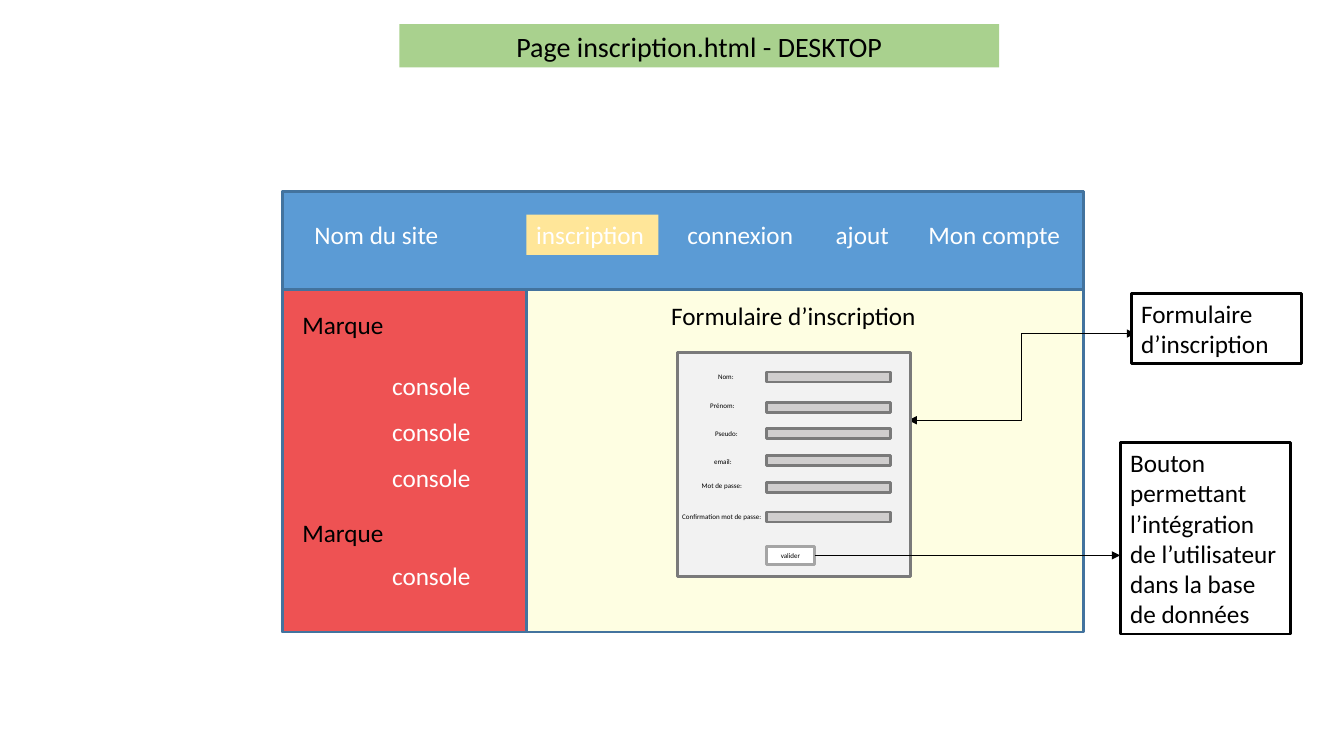
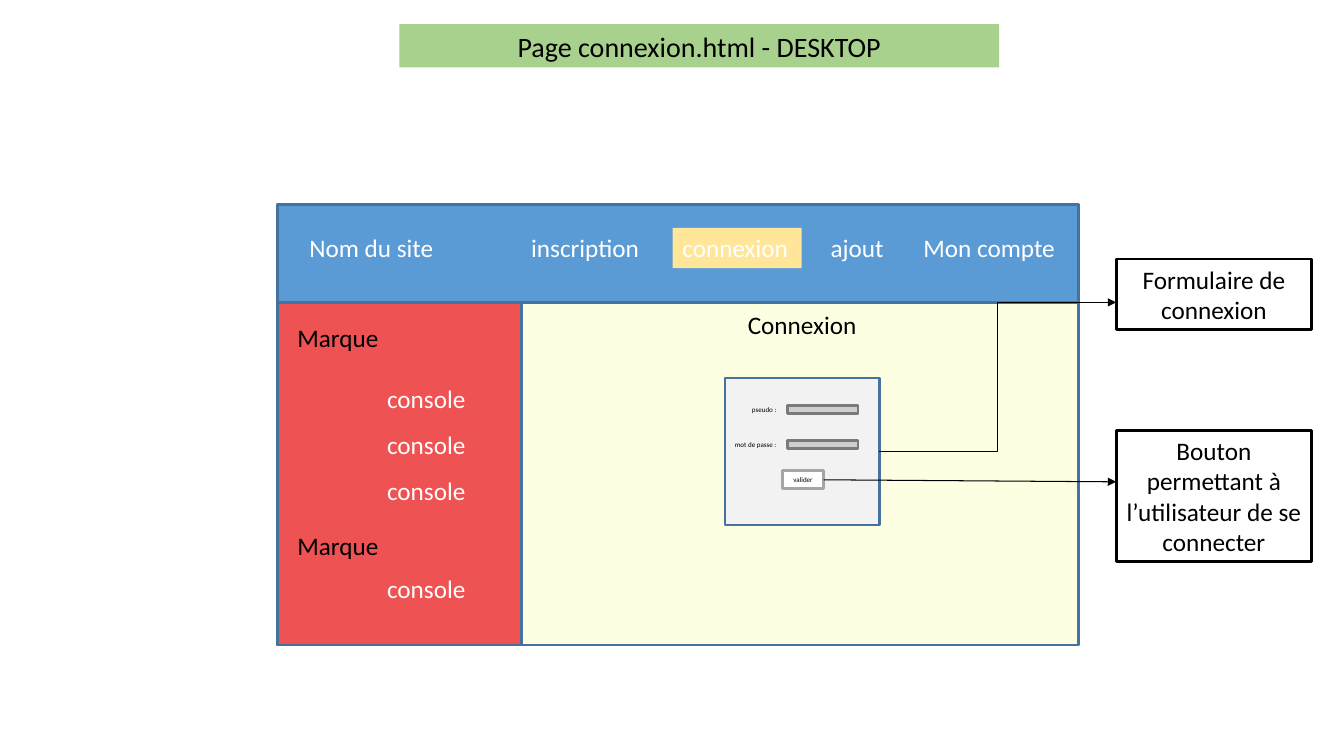
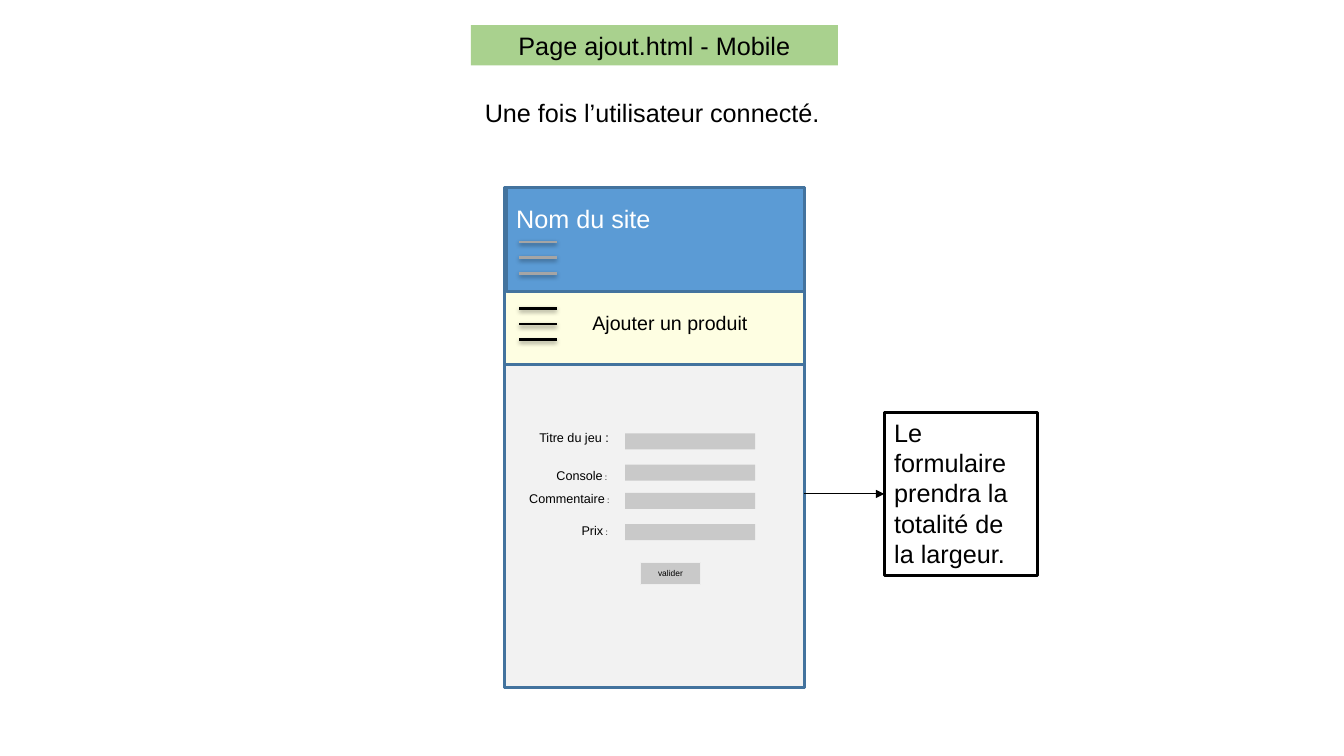
from dataclasses import dataclass

from lxml import etree
from pptx import Presentation
from pptx.dml.color import RGBColor
from pptx.enum.shapes import MSO_CONNECTOR as CONN, MSO_SHAPE as SHAPE
from pptx.enum.text import MSO_ANCHOR as ANCHOR, PP_ALIGN as ALIGN
from pptx.oxml.ns import qn
from pptx.util import Inches, Pt


@dataclass(frozen=True)
class Theme:
    """Colours, fonts and sizes shared by the slides."""
    black: str = "000000"
    white: str = "FFFFFF"
    title: str = "A9D18E"
    page: str = "FEFEE2"
    header: str = "5B9BD5"
    sidebar: str = "EE5253"
    border: str = "43739E"
    active: str = "FFE699"
    panel: str = "F2F2F2"
    field: str = "D0CECE"
    field_line: str = "7A7A7A"
    grey: str = "A5A5A5"
    mobile_field: str = "C9C9C9"
    mobile_edge: str = "EEEEEE"
    desktop_font: str = "Calibri"
    mobile_font: str = "Arial"
    title_size: int = 20
    body: int = 18
    subtitle: int = 14
    label: int = 9
    tiny: int = 6
    micro: int = 5
    thick: float = 2
    thin: float = 0.75


T = Theme()


@dataclass(frozen=True)
class FormStyle:
    """Look of a form: panel, labels, fields and button."""
    outline: str
    field: str = T.field
    field_line: str | None = T.field_line
    button: str = T.white
    button_line: str = T.grey
    button_width: float = T.thick
    font: str = T.desktop_font
    size: int = T.micro
    button_size: int = T.micro
    align: ALIGN = ALIGN.LEFT


def rgb(color):
    """Turn a hex string into a colour."""
    return RGBColor.from_string(color)


def shift(box, dx, dy, w, h):
    """Return a box placed relative to the corner of another."""
    return box[0] + dx, box[1] + dy, w, h


def write(sp, text, size=T.body, font=T.desktop_font, color=T.black,
          align=ALIGN.LEFT, anchor=ANCHOR.TOP, tail="", tail_size=T.tiny):
    """Write one formatted paragraph, with an optional smaller ending."""
    tf = sp.text_frame
    tf.word_wrap = True
    tf.vertical_anchor = anchor
    p = tf.paragraphs[0]
    p.alignment = align
    for part, pt in ((text, size), (tail, tail_size)):
        if part:
            r = p.add_run()
            r.text = part
            r.font.size = Pt(pt)
            r.font.name = font
            r.font.color.rgb = rgb(color)


def label(s, box, text, **fmt):
    """Add a text box."""
    write(s.shapes.add_textbox(*map(Inches, box)), text, **fmt)


def rect(s, box, fill, line=None, width=T.thick, text="", **fmt):
    """Add a rectangle, with text if given."""
    sp = s.shapes.add_shape(SHAPE.RECTANGLE, *map(Inches, box))
    sp.shadow.inherit = False
    sp.fill.solid()
    sp.fill.fore_color.rgb = rgb(fill)
    if line:
        sp.line.color.rgb = rgb(line)
        sp.line.width = Pt(width)
    else:
        sp.line.fill.background()
    if text:
        write(sp, text, **fmt)


def connect(s, start, end, kind=CONN.STRAIGHT, color=T.black, width=T.thin,
            arrows=("tailEnd",), shadow=False):
    """Add a line with the given arrowheads."""
    cx = s.shapes.add_connector(kind, *map(Inches, (*start, *end)))
    cx.line.color.rgb = rgb(color)
    cx.line.width = Pt(width)
    sp_pr = cx._element.spPr
    for arrow in arrows:
        etree.SubElement(sp_pr.find(qn("a:ln")), qn(f"a:{arrow}"), type="triangle")
    effects = etree.SubElement(sp_pr, qn("a:effectLst"))
    if shadow:
        outer = etree.SubElement(effects, qn("a:outerShdw"), blurRad="40000",
                                 dist="20000", dir="5400000", rotWithShape="0")
        tint = etree.SubElement(outer, qn("a:srgbClr"), val=T.black)
        etree.SubElement(tint, qn("a:alpha"), val="38000")


def title(s, box, text, **fmt):
    """Add the green title band."""
    rect(s, box, T.title, text=text, align=ALIGN.CENTER, **fmt)


def callout(s, box, text, **fmt):
    """Add a framed explanation."""
    rect(s, box, T.white, T.black, text=text, **fmt)


def form(s, box, rows, field, button, style):
    """Draw a panel of labelled fields with its button."""
    rect(s, box, T.panel, style.outline)
    field_x, field_w, field_h = field
    for text, tail, x, y, w, field_y in rows:
        label(s, shift(box, x, y, w, 0.18), text, tail=tail, size=style.size,
              font=style.font, align=style.align)
        rect(s, shift(box, field_x, field_y, field_w, field_h),
             style.field, style.field_line)
    rect(s, shift(box, *button), style.button, style.button_line,
         style.button_width, text="valider", size=style.button_size,
         font=style.font, align=ALIGN.CENTER, anchor=ANCHOR.MIDDLE)


def desktop(s, left, top, active):
    """Draw the desktop page: header, navigation and sidebar."""
    box = left, top, 7.95, 4.37
    rect(s, box, T.page, T.border)
    rect(s, shift(box, 0, 0, 7.95, 0.97), T.header, T.border)
    rect(s, shift(box, 0, 0.97, 2.42, 3.4), T.sidebar, T.border)
    for text, x, w in (("Nom du site", 0.22, 2.02), ("inscription", 2.42, 1.31),
                       ("connexion", 3.92, 1.28), ("ajout", 5.39, 0.73),
                       ("Mon compte", 6.31, 1.64)):
        place = shift(box, x, 0.23, w, 0.4)
        if text == active:
            rect(s, place, T.active, text=text, color=T.white)
        else:
            label(s, place, text, color=T.white)
    for y in (1.12, 3.18):
        label(s, shift(box, 0.1, y, 1.12, 0.4), "Marque")
    for y in (1.72, 2.18, 2.64, 3.61):
        label(s, shift(box, 0.99, y, 1.25, 0.4), "console", color=T.white)


def burger(s, x, y, color):
    """Draw a three-line menu icon."""
    for i in range(3):
        line_y = y + i * 0.155
        connect(s, (x, line_y), (x + 0.37, line_y), color=color, width=T.thick,
                arrows=(), shadow=True)


def registration(s):
    """Build the registration page."""
    desktop(s, 2.8, 1.9, "inscription")
    title(s, (3.96, 0.24, 5.95, 0.43), "Page inscription.html - DESKTOP",
          size=T.title_size)
    label(s, (6.43, 2.93, 2.88, 0.4), "Formulaire d’inscription", align=ALIGN.CENTER)
    connect(s, (9.01, 4.17), (11.26, 3.31), CONN.ELBOW, arrows=("headEnd", "tailEnd"))
    rows = (("Nom:", "", 0.2, 0.15, 0.56, 0.19),
            ("Prénom:", "", 0.07, 0.43, 0.75, 0.49),
            ("Pseudo:", "", 0.16, 0.71, 0.65, 0.75),
            ("email:", "", 0.17, 0.99, 0.56, 1.02),
            ("Mot de passe:", "", -0.08, 1.23, 1.04, 1.29),
            ("Confirmation mot de passe:", "", -0.08, 1.54, 1.04, 1.58))
    form(s, (6.72, 3.5, 2.31, 2.22), rows, (0.88, 1.23, 0.1),
         (0.88, 1.92, 0.48, 0.18), FormStyle(T.field_line, align=ALIGN.CENTER))
    callout(s, (11.22, 2.91, 1.69, 0.7), "Formulaire d’inscription")
    connect(s, (8.08, 5.51), (11.11, 5.51))
    callout(s, (11.11, 4.39, 1.69, 1.9), "Bouton permettant l’intégration "
            "de l’utilisateur dans la base de données")


def login(s):
    """Build the login page."""
    desktop(s, 2.75, 2.03, "connexion")
    title(s, (3.96, 0.24, 5.95, 0.43), "Page connexion.html - DESKTOP",
          size=T.title_size)
    label(s, (6.76, 3.02, 2.39, 0.4), "Connexion", align=ALIGN.CENTER)
    rows = (("pseudo :", "", 0.17, 0.22, 0.7, 0.27),
            ("mot de passe :", "", 0, 0.57, 0.7, 0.62))
    form(s, (7.19, 3.75, 1.53, 1.46), rows, (0.62, 0.7, 0.08),
         (0.57, 0.92, 0.41, 0.18), FormStyle(T.border))
    connect(s, (8.72, 4.48), (11.07, 3), CONN.ELBOW)
    callout(s, (11.07, 2.57, 1.94, 0.7), "Formulaire de connexion",
            align=ALIGN.CENTER)
    connect(s, (8.17, 4.76), (11.07, 4.78))
    callout(s, (11.07, 4.27, 1.94, 1.3),
            "Bouton permettant à l’utilisateur de se connecter", align=ALIGN.CENTER)


def mobile_add(s):
    """Build the mobile page for adding a product."""
    font = T.mobile_font
    title(s, (4.67, 0.25, 3.64, 0.4), "Page ajout.html - Mobile", font=font)
    label(s, (4.71, 0.92, 3.56, 0.4), "Une fois l’utilisateur connecté.", font=font)
    page = 5, 1.86, 2.98, 4.96
    rect(s, page, T.page, T.border)
    rect(s, shift(page, 0.02, 0, 2.96, 1.03), T.header, T.border)
    label(s, shift(page, 0.02, 0.11, 1.59, 0.4), "Nom du site", font=font,
          color=T.white)
    burger(s, 5.15, 2.4, T.grey)
    label(s, shift(page, 0.75, 1.18, 1.79, 0.34), "Ajouter un produit", font=font,
          size=T.subtitle, align=ALIGN.CENTER)
    burger(s, 5.15, 3.06, T.black)
    rows = (("Titre du jeu :", "", 0.25, 0.6, 0.95, 0.68),
            ("Console", " :", 0.42, 0.97, 0.78, 0.99),
            ("Commentaire", " :", 0.15, 1.2, 1.02, 1.27),
            ("Prix", " :", 0.67, 1.52, 0.5, 1.58))
    style = FormStyle(T.border, T.mobile_field, None, T.mobile_field, T.mobile_edge,
                      1, font, T.label, T.tiny)
    form(s, shift(page, 0, 1.76, 2.98, 3.2), rows, (1.2, 1.29, 0.16),
         (1.35, 1.96, 0.6, 0.22), style)
    connect(s, (7.97, 4.9), (8.77, 4.9))
    callout(s, (8.77, 4.09, 1.52, 1.62),
            "Le formulaire prendra la totalité de la largeur.", font=font)


def main():
    """Create and save the presentation."""
    prs = Presentation()
    prs.slide_width, prs.slide_height = Inches(13.33), Inches(7.5)
    for build in (registration, login, mobile_add):
        build(prs.slides.add_slide(prs.slide_layouts[6]))
    prs.save("out.pptx")


if __name__ == "__main__":
    main()
